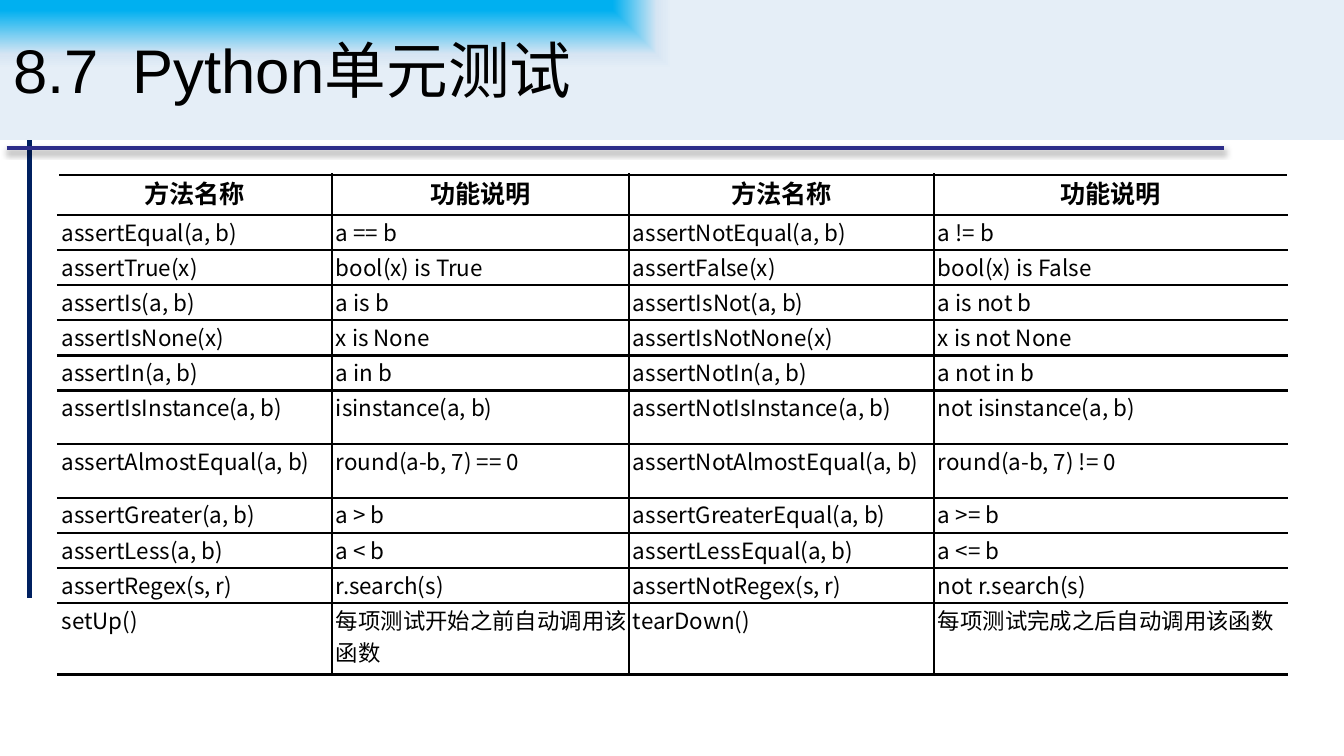
"""Build the slide listing the assertion methods for Python unit tests."""
from dataclasses import dataclass

from lxml import etree
from pptx import Presentation
from pptx import util as u
from pptx.dml.color import RGBColor
from pptx.enum import shapes, text
from pptx.oxml import ns


@dataclass(frozen=True)
class Theme:
    """Colours, fonts and type sizes."""
    ink: str = "000000"
    navy: str = "002060"
    indigo: str = "2D2D89"
    banner: tuple = ((0, "00B0F0"), (16, "00B0F0"), (79, "D7E5F3"), (100, "E5EEF7"))
    title_font: str = "Arial"
    body_font: str = "Noto Sans CJK SC"
    title_size: float = 33
    header_size: float = 13.5
    body_size: float = 12
    rule_width: float = 2.25
    border_width: float = 1.5


def add_xml(parent, tag, **attributes):
    """Append a drawing element to its parent."""
    return etree.SubElement(parent, ns.qn(tag), {k: str(v) for k, v in attributes.items()})


class SlideBuilder:
    """Draw styled elements on the current slide."""

    def __init__(self, slide, theme):
        self.slide = slide
        self.theme = theme

    def style(self, paragraph, size, font, bold=False):
        """Format every run of a paragraph."""
        for run in paragraph.runs:
            run.font.size = u.Pt(size)
            run.font.name = font
            run.font.bold = bold
            run.font.color.rgb = RGBColor.from_string(self.theme.ink)
            add_xml(run.font._element, "a:ea", typeface=self.theme.body_font)

    def rule(self, start, end, color, shadow=False):
        """Draw a straight rule, with a soft shadow if asked."""
        points = [u.Inches(v) for v in (*start, *end)]
        rule = self.slide.shapes.add_connector(shapes.MSO_CONNECTOR.STRAIGHT, *points)
        rule.line.width = u.Pt(self.theme.rule_width)
        rule.line.color.rgb = RGBColor.from_string(color)
        effects = add_xml(rule._element.spPr, "a:effectLst")
        if shadow:
            outer = add_xml(effects, "a:outerShdw", blurRad=u.Pt(3.1), dist=u.Pt(1.8),
                            dir=90 * 60000, rotWithShape=0)
            shade = add_xml(outer, "a:srgbClr", val=self.theme.ink)
            add_xml(shade, "a:alpha", val=35000)

    def banner(self, wording, left, top, width, height):
        """Draw the title on a band shaded from its top left corner."""
        band = self.slide.shapes.add_shape(
            shapes.MSO_SHAPE.RECTANGLE, *map(u.Inches, (left, top, width, height)))
        band.shadow.inherit = False
        band.line.fill.background()
        gradient = etree.Element(ns.qn("a:gradFill"), rotWithShape="1")
        stops = add_xml(gradient, "a:gsLst")
        for position, color in self.theme.banner:
            stop = add_xml(stops, "a:gs", pos=position * 1000)
            add_xml(stop, "a:srgbClr", val=color)
        focus = add_xml(gradient, "a:path", path="rect")
        add_xml(focus, "a:fillToRect", r=100000, b=100000)
        band._element.spPr.find(ns.qn("a:prstGeom")).addnext(gradient)
        frame = band.text_frame
        frame.word_wrap = True
        frame.margin_left = frame.margin_right = u.Inches(0.1)
        frame.vertical_anchor = text.MSO_ANCHOR.MIDDLE
        frame.text = wording
        frame.paragraphs[0].alignment = text.PP_ALIGN.LEFT
        self.style(frame.paragraphs[0], self.theme.title_size, self.theme.title_font)

    def borders(self, cell, sides):
        """Rule the given sides of a cell."""
        properties = cell._tc.get_or_add_tcPr()
        for index, side in enumerate(sides):
            line = etree.Element(ns.qn(f"a:ln{side}"), w=str(u.Pt(self.theme.border_width)))
            fill = add_xml(line, "a:solidFill")
            add_xml(fill, "a:srgbClr", val=self.theme.ink)
            properties.insert(index, line)

    def table(self, rows, left, top, widths, heights):
        """Draw a ruled table that is open at its left and right edges."""
        frame = self.slide.shapes.add_table(
            len(rows), len(widths),
            *map(u.Inches, (left, top, sum(widths), sum(heights))))
        grid = frame.table
        grid.first_row = grid.horz_banding = False
        for column, width in zip(grid.columns, widths):
            column.width = u.Inches(width)
        for r, (row, height) in enumerate(zip(rows, heights)):
            grid.rows[r].height = u.Inches(height)
            header = r == 0
            for c, wording in enumerate(row):
                cell = grid.cell(r, c)
                cell.margin_left = u.Inches(0 if header else 0.03)
                cell.margin_right = cell.margin_top = cell.margin_bottom = 0
                cell.fill.background()
                inner = ["L"] * (c > 0) + ["R"] * (c < len(widths) - 1)
                self.borders(cell, inner + ["T", "B"])
                cell.text_frame.text = wording
                paragraph = cell.text_frame.paragraphs[0]
                paragraph.alignment = text.PP_ALIGN.CENTER if header else text.PP_ALIGN.LEFT
                size = self.theme.header_size if header else self.theme.body_size
                self.style(paragraph, size, self.theme.body_font, header)


METHODS = [
    ("方法名称", "功能说明") * 2,
    ("assertEqual(a, b)", "a == b", "assertNotEqual(a, b)", "a != b"),
    ("assertTrue(x)", "bool(x) is True", "assertFalse(x)", "bool(x) is False"),
    ("assertIs(a, b)", "a is b", "assertIsNot(a, b)", "a is not b"),
    ("assertIsNone(x)", "x is None", "assertIsNotNone(x)", "x is not None"),
    ("assertIn(a, b)", "a in b", "assertNotIn(a, b)", "a not in b"),
    ("assertIsInstance(a, b)", "isinstance(a, b)",
     "assertNotIsInstance(a, b)", "not isinstance(a, b)"),
    ("assertAlmostEqual(a, b)", "round(a-b, 7) == 0",
     "assertNotAlmostEqual(a, b)", "round(a-b, 7) != 0"),
    ("assertGreater(a, b)", "a > b", "assertGreaterEqual(a, b)", "a >= b"),
    ("assertLess(a, b)", "a < b", "assertLessEqual(a, b)", "a <= b"),
    ("assertRegex(s, r)", "r.search(s)", "assertNotRegex(s, r)", "not r.search(s)"),
    ("setUp()", "每项测试开始之前自动调用该函数",
     "tearDown()", "每项测试完成之后自动调用该函数"),
]

deck = Presentation()
deck.slide_width, deck.slide_height = u.Inches(10), u.Inches(10 * 9 / 16)
theme = Theme()
page = SlideBuilder(deck.slides.add_slide(deck.slide_layouts[6]), theme)
page.rule((0.22, 0.81), (0.22, 4.45), theme.navy)
page.rule((0.05, 1.1), (9.11, 1.1), theme.indigo, shadow=True)
page.banner("8.7  Python单元测试", 0, -0.01, 10, 1.05)
short_row = 2.09 / 8
row_heights = [0.3] + [short_row] * 5 + [0.4] * 2 + [short_row] * 3 + [0.53]
page.table(METHODS, 0.43, 1.3, (2.04, 2.21, 2.27, 2.63), row_heights)
deck.save("out.pptx")
